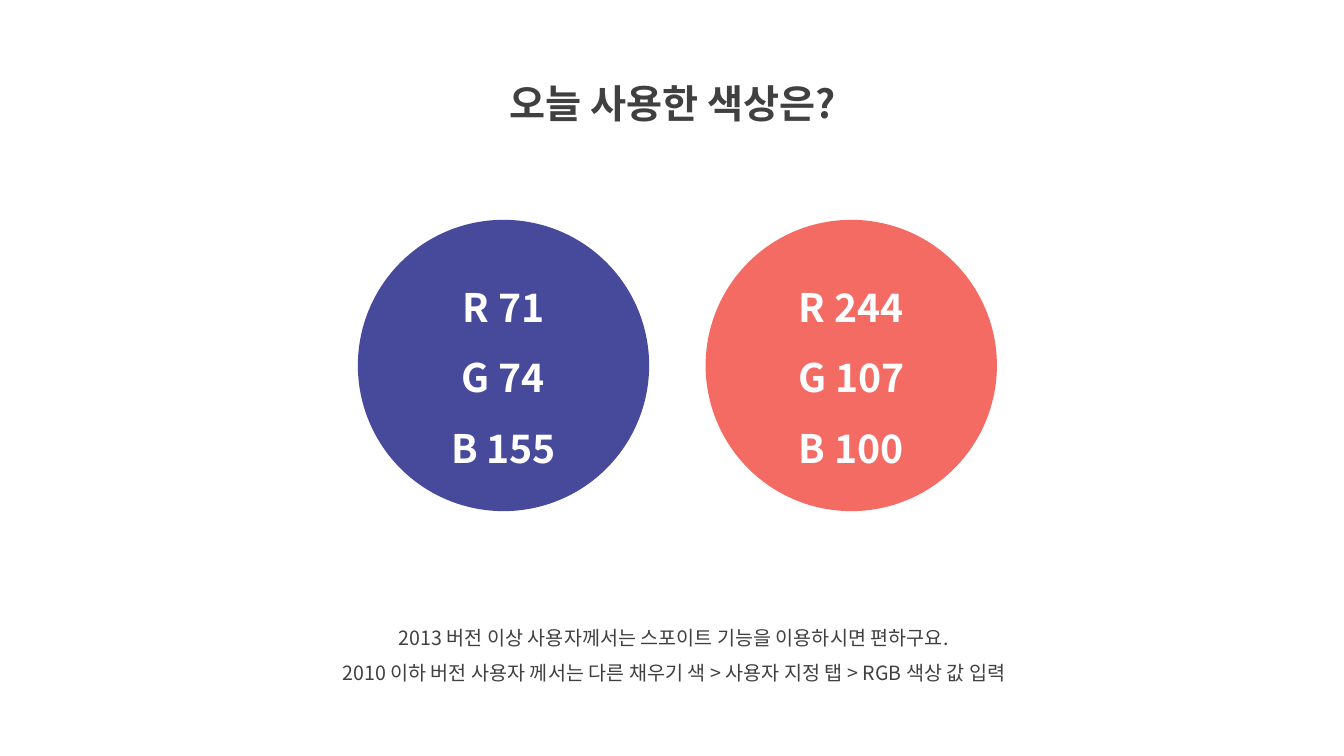
from dataclasses import dataclass

from lxml.etree import SubElement
from pptx import Presentation
from pptx.dml.color import RGBColor
from pptx.enum.shapes import MSO_SHAPE as Preset
from pptx.enum.text import MSO_ANCHOR as Anchor, MSO_AUTO_SIZE as AutoSize, PP_ALIGN as Align
from pptx.oxml.ns import qn
from pptx.slide import Slide
from pptx.text.text import TextFrame
from pptx.util import Pt

FONT = "Noto Sans CJK KR"
COLORS = {"ink": "404040", "white": "FFFFFF", "coral": "F46B64", "indigo": "474A9B"}
SWATCH_TOP = 157
SWATCH_SIZE = 208.1


@dataclass(frozen=True)
class Caption:
    lines: tuple[str, ...]
    left: float
    top: float
    width: float
    height: float
    size: float
    bold: bool


@dataclass(frozen=True)
class Swatch:
    color: str
    left: float


CAPTIONS = (
    Caption(("오늘 사용한 색상은?",), 313.9, 36, 333.4, 51.8, 28, True),
    Caption(
        (
            "2013 버전 이상 사용자께서는 스포이트 기능을 이용하시면 편하구요.",
            "2010 이하 버전 사용자 께서는 다른 채우기 색 > 사용자 지정 탭 > RGB 색상 값 입력",
        ),
        193.7, 434.9, 575.3, 58.3, 14, False,
    ),
)
SWATCHES = (Swatch("coral", 504), Swatch("indigo", 255.6))


def rgb(name: str) -> RGBColor:
    return RGBColor.from_string(COLORS[name])


def write_line(frame: TextFrame, text: str, *, first: bool, size: float, color: str, bold: bool) -> None:
    para = frame.paragraphs[0] if first else frame.add_paragraph()
    para.alignment = Align.CENTER
    para.line_spacing = 1.5
    span = para.add_run()
    span.text = text
    span.font.name = FONT
    span.font.size = Pt(size)
    span.font.bold = bold
    span.font.color.rgb = rgb(color)
    SubElement(span.font._element, qn("a:ea")).set("typeface", FONT)


def draw_caption(page: Slide, caption: Caption) -> None:
    box = page.shapes.add_textbox(
        Pt(caption.left), Pt(caption.top), Pt(caption.width), Pt(caption.height)
    )
    frame = box.text_frame
    frame.word_wrap = True
    frame.auto_size = AutoSize.SHAPE_TO_FIT_TEXT
    for index, line in enumerate(caption.lines):
        write_line(frame, line, first=index == 0, size=caption.size, color="ink", bold=caption.bold)


def draw_swatch(page: Slide, swatch: Swatch) -> None:
    circle = page.shapes.add_shape(
        Preset.OVAL, Pt(swatch.left), Pt(SWATCH_TOP), Pt(SWATCH_SIZE), Pt(SWATCH_SIZE)
    )
    circle.shadow.inherit = False
    circle.fill.solid()
    circle.fill.fore_color.rgb = rgb(swatch.color)
    circle.line.fill.background()
    frame = circle.text_frame
    frame.word_wrap = True
    frame.vertical_anchor = Anchor.MIDDLE
    for index, (channel, value) in enumerate(zip("RGB", rgb(swatch.color))):
        write_line(frame, f"{channel} {value}", first=index == 0, size=28, color="white", bold=True)


def main() -> None:
    deck = Presentation()
    deck.slide_width, deck.slide_height = Pt(960), Pt(540)
    page = deck.slides.add_slide(deck.slide_layouts[6])
    for caption in CAPTIONS:
        draw_caption(page, caption)
    for swatch in SWATCHES:
        draw_swatch(page, swatch)
    deck.save("out.pptx")


if __name__ == "__main__":
    main()
